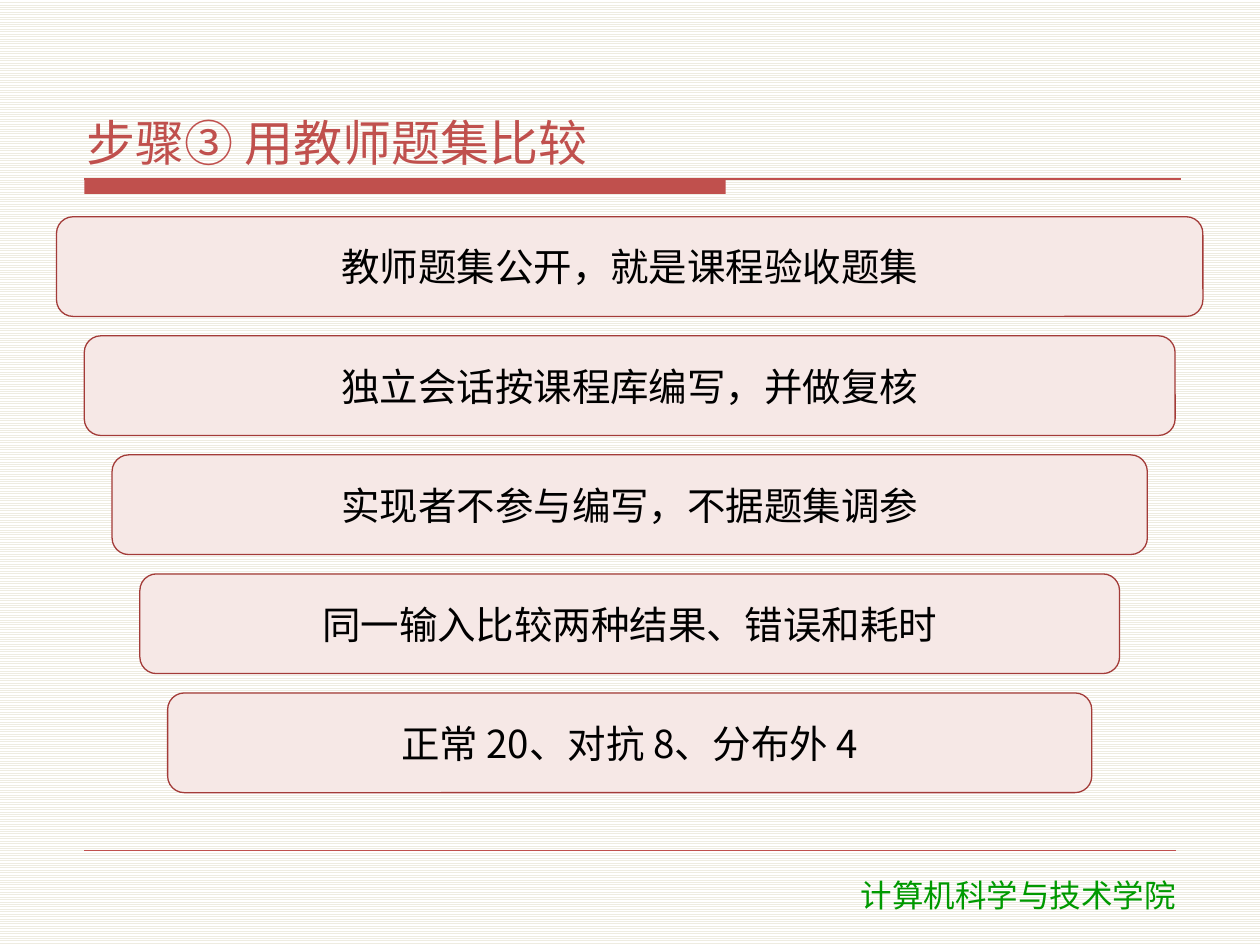
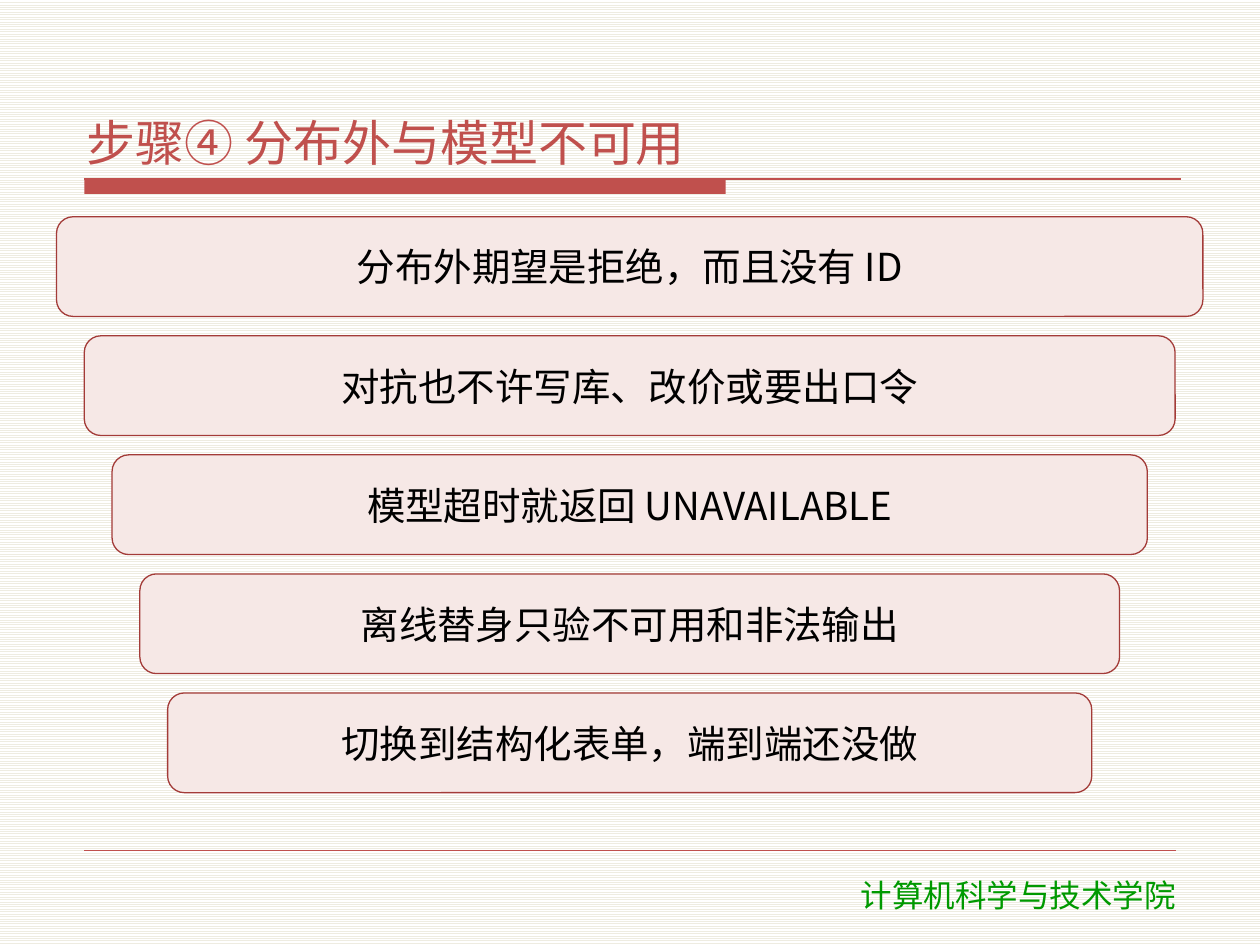
from collections import namedtuple
from dataclasses import dataclass

from lxml import etree
from pptx import Presentation
from pptx import util as u
from pptx.dml.color import RGBColor
from pptx.enum import dml, shapes, text
from pptx.oxml.ns import qn

Box = namedtuple("Box", "x y w h")


@dataclass(frozen=True)
class Theme:
    accent: str = "C0504D"
    panel: str = "F6E8E6"
    panel_edge: str = "A33B38"
    ink: str = "000000"
    school: str = "009900"
    stripe: str = "EEECE1"
    paper: str = "FFFFFF"
    body_font: str = "Noto Sans CJK SC"
    school_font: str = "DejaVu Sans"
    title_size: int = 28
    panel_size: int = 22
    school_size: int = 18


T = Theme()
TIGHT = dict(margin_left=u.Cm(0.15), margin_right=u.Cm(0.15),
             margin_top=u.Cm(0.05), margin_bottom=u.Cm(0.05))

TITLE = Box(1.6, 0.84, 22.23, 2.67)
RULE = Box(1.7, 3.61, 22.1, 0.3)
BAR_WIDTH = 12.93
PANELS = Box(1.14, 4.37, 23.11, 11.61)
PANEL_HEIGHT = 2.01
PANEL_INDENT = 0.56
FOOTER_LINE = Box(1.7, 17.15, 22, 0)
SCHOOL = Box(15.42, 17.53, 10.21, 1.02)

STEPS = [
    ("步骤③ 用教师题集比较",
     ["教师题集公开，就是课程验收题集",
      "独立会话按课程库编写，并做复核",
      "实现者不参与编写，不据题集调参",
      "同一输入比较两种结果、错误和耗时",
      "正常 20、对抗 8、分布外 4"]),
    ("步骤④ 分布外与模型不可用",
     ["分布外期望是拒绝，而且没有 ID",
      "对抗也不许写库、改价或要出口令",
      "模型超时就返回 UNAVAILABLE",
      "离线替身只验不可用和非法输出",
      "切换到结构化表单，端到端还没做"]),
]


def rgb(value):
    return RGBColor.from_string(value)


def cm(*values):
    return [u.Cm(round(v, 2)) for v in values]


def assign(obj, values):
    for name, value in values.items():
        setattr(obj, name, value)


def write(sp, words, size, color, font=T.body_font, align=None, after=0, **frame):
    """Put one formatted paragraph into sp; frame holds text frame settings."""
    tf = sp.text_frame
    assign(tf, dict(word_wrap=True, **frame))
    p = tf.paragraphs[0]
    assign(p, dict(alignment=align, space_after=u.Pt(after)))
    r = p.add_run()
    r.text = words
    assign(r.font, dict(name=font, size=u.Pt(size)))
    r.font.color.rgb = rgb(color)
    etree.SubElement(r.font._element, qn("a:ea"), typeface=T.body_font)


def add_panel(s, kind, box, fill, edge=None):
    sp = s.shapes.add_shape(kind, *cm(*box))
    sp.shadow.inherit = False
    sp.fill.solid()
    sp.fill.fore_color.rgb = rgb(fill)
    if edge:
        sp.line.color.rgb = rgb(edge)
        sp.line.width = u.Pt(0.75)
    else:
        sp.line.fill.background()
    return sp


def add_line(s, box, width):
    line = s.shapes.add_connector(shapes.MSO_CONNECTOR.STRAIGHT,
                                  *cm(box.x, box.y, box.x + box.w, box.y))
    line.line.color.rgb = rgb(T.accent)
    line.line.width = u.Pt(width)
    etree.SubElement(line._element.spPr, qn("a:effectLst"))


def paint_background(s):
    fill = s.background.fill
    fill.patterned()
    fill.pattern = dml.MSO_PATTERN.LIGHT_HORIZONTAL
    fill.fore_color.rgb = rgb(T.stripe)
    fill.back_color.rgb = rgb(T.paper)


def add_title_rule(s, box):
    add_panel(s, shapes.MSO_SHAPE.RECTANGLE, box._replace(w=BAR_WIDTH), T.accent)
    add_line(s, box, 0.75)


def add_footer(s, line_box, school_box):
    add_line(s, line_box, 0.25)
    write(s.shapes.add_textbox(*cm(*school_box)), "计算机科学与技术学院",
          T.school_size, T.school, T.school_font, text.PP_ALIGN.CENTER,
          auto_size=text.MSO_AUTO_SIZE.SHAPE_TO_FIT_TEXT)


def add_title(s, box, title):
    write(s.shapes.add_textbox(*cm(*box)), title, T.title_size, T.accent, after=2,
          vertical_anchor=text.MSO_ANCHOR.BOTTOM, **TIGHT)


def add_funnel(s, box, points):
    """Stack equally spaced panels, each indented further on both sides."""
    pitch = (box.h - PANEL_HEIGHT) / (len(points) - 1)
    for i, point in enumerate(points):
        indent = i * PANEL_INDENT
        place = Box(box.x + indent, box.y + i * pitch, box.w - 2 * indent, PANEL_HEIGHT)
        sp = add_panel(s, shapes.MSO_SHAPE.ROUNDED_RECTANGLE, place, T.panel, T.panel_edge)
        write(sp, point, T.panel_size, T.ink, align=text.PP_ALIGN.CENTER, after=2,
              vertical_anchor=text.MSO_ANCHOR.MIDDLE, **TIGHT)


def add_step_slide(prs, title, points):
    s = prs.slides.add_slide(prs.slide_layouts[6])
    paint_background(s)
    add_title_rule(s, RULE)
    add_footer(s, FOOTER_LINE, SCHOOL)
    add_title(s, TITLE, title)
    add_funnel(s, PANELS, points)


def main():
    prs = Presentation()
    assign(prs, dict(slide_width=u.Cm(25.4), slide_height=u.Cm(19.05)))
    for title, points in STEPS:
        add_step_slide(prs, title, points)
    prs.save("out.pptx")


if __name__ == "__main__":
    main()
